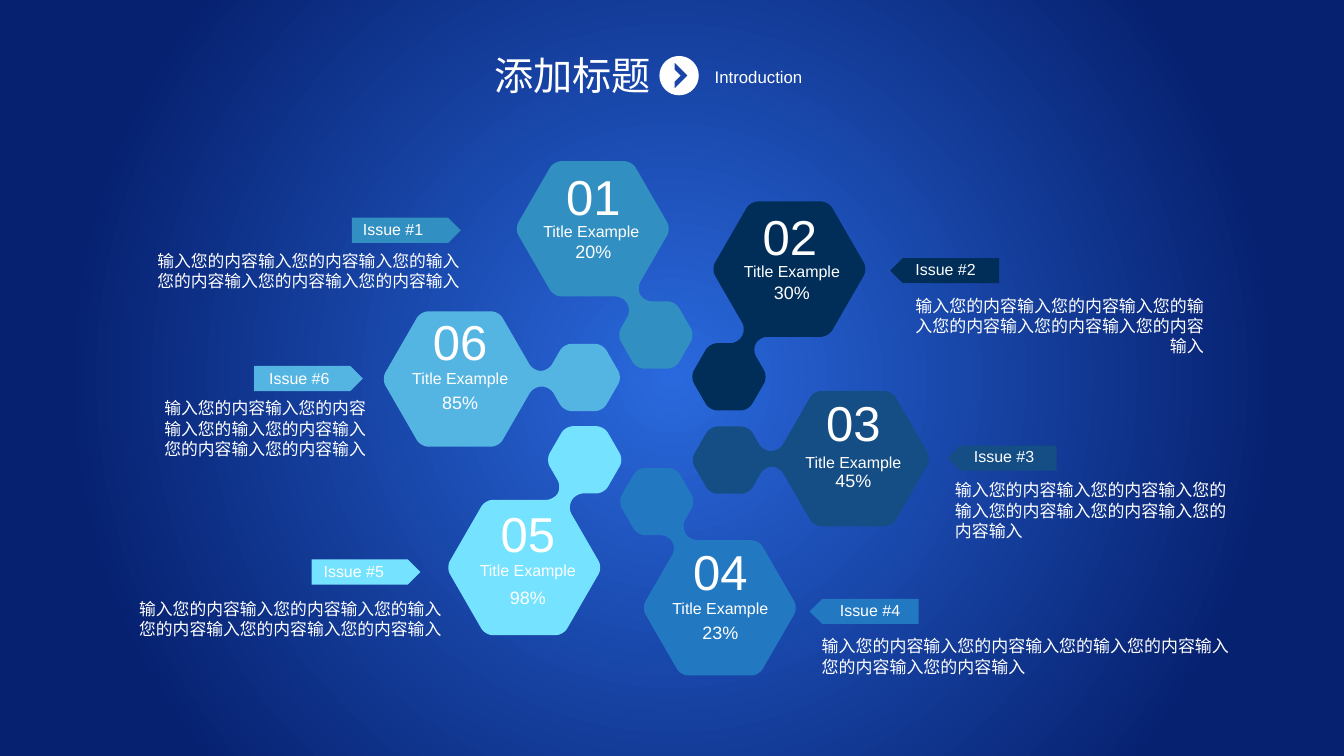
import math
from dataclasses import dataclass

import pptx
import pptx.util
import pptx.dml.color
import pptx.enum.shapes
import pptx.enum.text
import pptx.oxml
import pptx.oxml.ns

Inches = pptx.util.Inches
RGB = pptx.dml.color.RGBColor.from_string
Align = pptx.enum.text.PP_ALIGN
qn = pptx.oxml.ns.qn


@dataclass(frozen=True)
class Theme:
    font: str = "Arial"
    white: str = "FFFFFF"
    glow: str = "2A69DD"
    night: str = "062170"
    hexagons: tuple = ("328FC1", "002E59", "144E84", "2378C2", "75E3FF", "55B5E2")
    title: float = 28
    subtitle: float = 12
    number: float = 35
    label: float = 11.4
    percent: float = 12.8
    body_left: float = 12
    body_right: float = 12.1


theme = Theme()
deck = pptx.Presentation()
deck.slide_width = Inches(13.33)
deck.slide_height = Inches(7.5)
page = deck.slides.add_slide(deck.slide_layouts[6])


def add_text(text, left, top, width, height, size, align=Align.LEFT, inset=(0, 0)):
    box = page.shapes.add_textbox(Inches(left), Inches(top), Inches(width), Inches(height))
    frame = box.text_frame
    frame.word_wrap = True
    frame.margin_left = frame.margin_right = Inches(inset[0])
    frame.margin_top = frame.margin_bottom = Inches(inset[1])
    para = frame.paragraphs[0]
    para.alignment = align
    span = para.add_run()
    span.text = text
    span.font.name = theme.font
    span.font.size = pptx.util.Pt(size)
    span.font.color.rgb = RGB(theme.white)


def add_outline(contours, color):
    builder = None
    for contour in contours:
        points = [(Inches(x), Inches(y)) for segment in contour for x, y in segment]
        if builder is None:
            builder = page.shapes.build_freeform(*points[0], scale=1.0)
        else:
            builder.move_to(*points[0])
        builder.add_line_segments(points[1:], close=True)
    shape = builder.convert_to_shape()
    shape.shadow.inherit = False
    shape.fill.solid()
    shape.fill.fore_color.rgb = RGB(color)
    shape.line.fill.background()
    nodes = iter(list(shape.element.iter(qn("a:moveTo"), qn("a:lnTo"))))
    for segment in (segment for contour in contours for segment in contour):
        next(nodes)
        if len(segment) == 4:
            first, second, last = next(nodes), next(nodes), next(nodes)
            curve = pptx.oxml.parse_xml(f'<a:cubicBezTo {pptx.oxml.ns.nsdecls("a")}/>')
            first.addprevious(curve)
            for node in (first, second, last):
                curve.append(node[0])
                node.getparent().remove(node)


backdrop = page.background.fill
backdrop.gradient()
for stop, color, position in zip(backdrop.gradient_stops, (theme.glow, theme.night), (0, 0.79)):
    stop.color.rgb = RGB(color)
    stop.position = position
gradient = page.element.find(".//" + qn("a:gradFill"))
gradient.remove(gradient.find(qn("a:lin")))
gradient.append(pptx.oxml.parse_xml(
    f'<a:path {pptx.oxml.ns.nsdecls("a")} path="circle">'
    '<a:fillToRect l="50000" t="50000" r="50000" b="50000"/></a:path>'))

disc_x, disc_y, radius, bow = 6.735, 0.75, 0.195, 0.55
disc = []
for x, y in ((0, -1), (-1, 0), (0, 1), (1, 0)):
    quarter = [(x, y), (x + bow * y, y - bow * x), (y + bow * x, -x + bow * y), (y, -x)]
    disc.append([(disc_x + radius * a, disc_y + radius * b) for a, b in quarter])
chevron = [[point] for point in
           ((6.69, 0.62), (6.82, 0.75), (6.69, 0.88), (6.69, 0.81), (6.75, 0.75), (6.69, 0.69))]
add_outline([disc, chevron], theme.white)
add_text("Introduction", 6.99, 0.61, 1.59, 0.3, theme.subtitle, inset=(0.1, 0.05))
add_text("添加标题", 4.37, 0.46, 2.62, 0.57, theme.title, align=Align.CENTER, inset=(0.1, 0.05))

big, small, small_x, small_y, trim = 0.775, 0.385, 1.225, -0.015, 0.07
neck_top, neck_bottom, slope = -0.08, 0.075, math.sqrt(3)
corners = [(big * math.cos(math.radians(angle)), big * math.sin(math.radians(angle)))
           for angle in range(60, 301, 60)]
corners += [(big + neck_top / slope, neck_top),
            (small_x - small + (small_y - neck_top) / slope, neck_top)]
corners += [(small_x + small * math.cos(math.radians(angle)), small_y + small * math.sin(math.radians(angle)))
            for angle in range(240, 481, 60)]
corners += [(small_x - small + (neck_bottom - small_y) / slope, neck_bottom),
            (big - neck_bottom / slope, neck_bottom)]

link = []
for index, corner in enumerate(corners):
    ends = []
    for neighbour in (corners[index - 1], corners[(index + 1) % len(corners)]):
        share = trim / math.dist(corner, neighbour)
        ends.append([c + (n - c) * share for c, n in zip(corner, neighbour)])
    handles = [[(e + c) / 2 for e, c in zip(end, corner)] for end in ends]
    link.append([ends[0], *handles, ends[1]])

hexagons = [
    ((5.88, 2.27), 60, (5.4, 1.65), (5.23, 2.2), (5.4, 2.39), "20%"),
    ((7.83, 2.67), 120, (7.35, 2.05), (7.22, 2.59), (7.37, 2.79), "30%"),
    ((8.46, 4.55), 180, (7.98, 3.89), (7.83, 4.49), (7.98, 4.66), "45%"),
    ((7.14, 6.03), 240, (6.66, 5.37), (6.51, 5.94), (6.66, 6.17), "23%"),
    ((5.2, 5.63), 300, (4.75, 4.99), (4.6, 5.56), (4.75, 5.82), "98%"),
    ((4.56, 3.76), 0, (4.08, 3.09), (3.93, 3.66), (4.08, 3.88), "85%"),
]
for order, (hub, angle, number_at, label_at, percent_at, percent) in enumerate(hexagons, 1):
    cosine, sine = math.cos(math.radians(angle)), math.sin(math.radians(angle))
    outline = [[(hub[0] + x * cosine - y * sine, hub[1] + x * sine + y * cosine) for x, y in segment]
               for segment in link]
    add_outline([outline], theme.hexagons[order - 1])
    add_text(f"{order:02}", *number_at, 0.97, 0.59, theme.number, align=Align.CENTER)
    add_text("Title Example", *label_at, 1.27, 0.19, theme.label, align=Align.CENTER)
    add_text(percent, *percent_at, 0.97, 0.22, theme.percent, align=Align.CENTER)

description = "输入您的内容输入您的内容输入您的输入您的内容输入您的内容输入您的内容输入"
issues = [
    (1, (3.49, 2.16), (3.6, 2.18), (1.55, 2.49, 3.01, 0.4), Align.RIGHT),
    (6, (2.52, 3.63), (2.67, 3.66), (1.55, 3.95, 2.08, 0.61), Align.RIGHT),
    (5, (3.09, 5.55), (3.21, 5.57), (1.37, 5.94, 3.01, 0.4), Align.RIGHT),
    (2, (8.83, 2.56), (9.08, 2.57), (8.93, 2.93, 3.01, 0.61), Align.RIGHT),
    (3, (9.4, 4.42), (9.66, 4.43), (9.47, 4.76, 2.75, 0.61), Align.LEFT),
    (4, (8.03, 5.94), (8.33, 5.96), (8.15, 6.31, 4.07, 0.41), Align.LEFT),
]
for order, tag_at, label_at, body_at, align in issues:
    on_right = order in (2, 3, 4)
    tag = page.shapes.add_shape(pptx.enum.shapes.MSO_SHAPE.PENTAGON,
                                *map(Inches, tag_at), Inches(1.08), Inches(0.25))
    tag.rotation = 180 if on_right else 0
    tag.shadow.inherit = False
    tag.fill.solid()
    tag.fill.fore_color.rgb = RGB(theme.hexagons[order - 1])
    tag.line.fill.background()
    add_text(f"Issue #{order}", *label_at, 0.78, 0.19, theme.label)
    add_text(description, *body_at, theme.body_right if on_right else theme.body_left, align=align)

deck.save("out.pptx")
